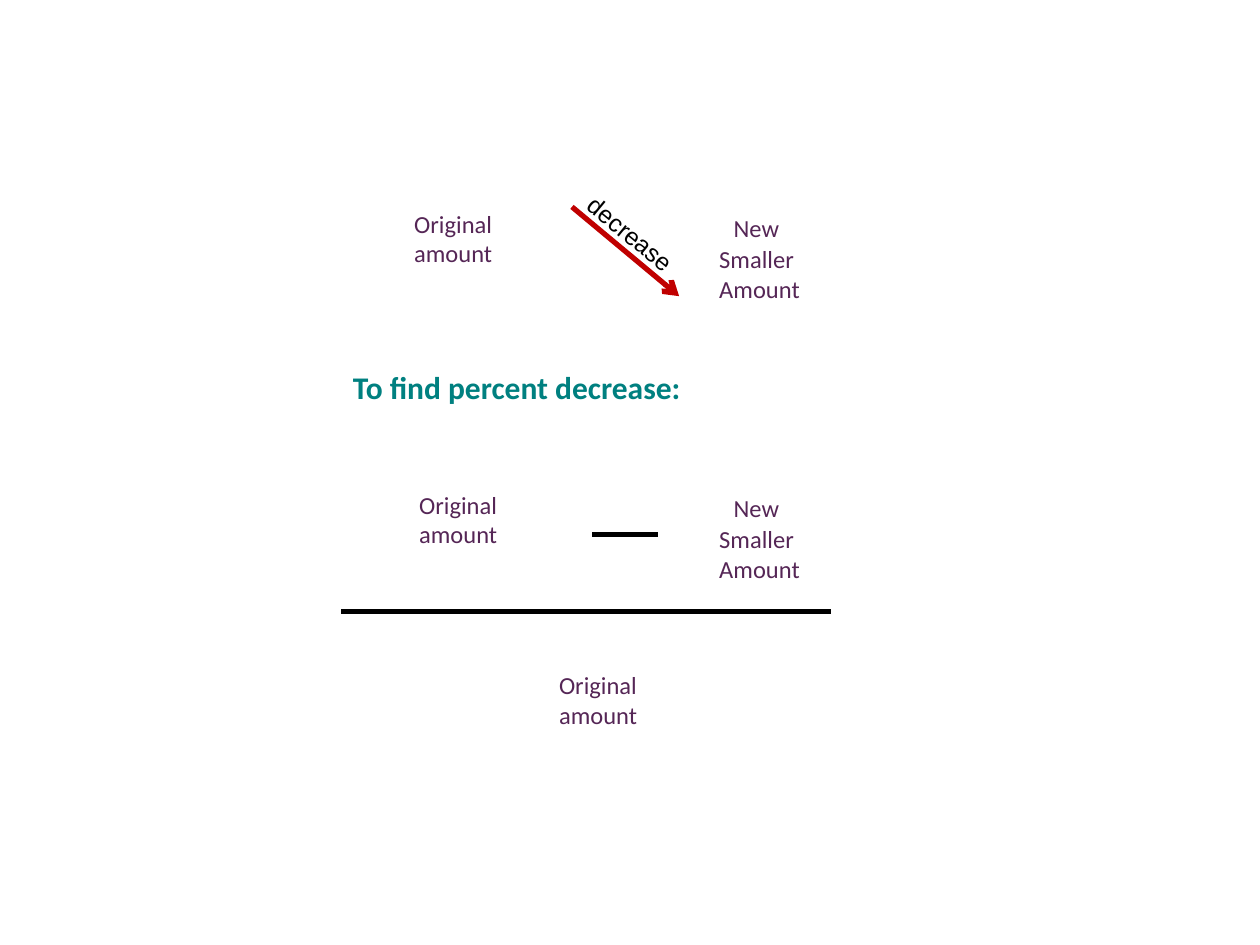
from lxml.etree import SubElement
from pptx import Presentation
from pptx.dml.color import RGBColor
from pptx.enum.shapes import MSO_CONNECTOR
from pptx.enum.text import MSO_ANCHOR, MSO_AUTO_SIZE, PP_ALIGN
from pptx.oxml.ns import qn
from pptx.util import Cm, Pt

THEME = {
    "amount": {"name": "Calibri", "size": Pt(14), "color": RGBColor(0x55, 0x26, 0x56)},
    "change": {"name": "Arial", "size": Pt(14), "color": RGBColor(0, 0, 0)},
    "heading": {"name": "Calibri", "size": Pt(18), "bold": True,
                "color": RGBColor(0, 0x80, 0x80)},
    "rule": RGBColor(0, 0, 0),
    "arrow": RGBColor(0xC0, 0, 0),
    "line_width": Pt(3),
}


def write(box, lines, style, **frame_format):
    frame = box.text_frame
    frame.text = "\n".join(lines)
    for attribute, value in frame_format.items():
        setattr(frame, attribute, value)
    for paragraph in frame.paragraphs:
        paragraph.alignment = PP_ALIGN.LEFT
        for attribute, value in THEME[style].items():
            if attribute == "color":
                paragraph.font.color.rgb = value
            else:
                setattr(paragraph.font, attribute, value)
    return frame


def draw_line(x1, y1, x2, y2, color):
    line = slide.shapes.add_connector(
        MSO_CONNECTOR.STRAIGHT, Cm(x1), Cm(y1), Cm(x2), Cm(y2))
    line.line.color.rgb = THEME[color]
    line.line.width = THEME["line_width"]
    SubElement(line._element.spPr, qn("a:effectLst"))
    return line


prs = Presentation()
prs.slide_width, prs.slide_height = Cm(25.4), Cm(19.05)
slide = prs.slides.add_slide(prs.slide_layouts[5])

# Heading
heading = slide.shapes.title
heading.left, heading.top, heading.width, heading.height = (
    Cm(6.86), Cm(7.29), Cm(10.36), Cm(1.02))
write(heading, ["To find percent decrease:"], "heading", word_wrap=True,
      auto_size=MSO_AUTO_SIZE.NONE, vertical_anchor=MSO_ANCHOR.TOP)

# Fraction bar and minus sign
draw_line(6.88, 12.32, 16.76, 12.32, "rule")
draw_line(11.94, 10.77, 13.26, 10.77, "rule")

# Original amount: starting value, minuend and denominator
for left, top in [(8.1, 4.09), (8.2, 9.75), (11.02, 13.39)]:
    original = slide.shapes.add_textbox(Cm(left), Cm(top), Cm(2.11), Cm(1.45))
    write(original, ["Original", "amount"], "amount",
          word_wrap=False, auto_size=MSO_AUTO_SIZE.SHAPE_TO_FIT_TEXT)

# New smaller amount: end value and subtrahend
for top in (4.04, 9.68):
    smaller = slide.shapes.add_textbox(Cm(14.25), Cm(top), Cm(2.16), Cm(2.24))
    frame = write(smaller, ["New", "Smaller", "Amount"], "amount", word_wrap=False,
                  auto_size=MSO_AUTO_SIZE.SHAPE_TO_FIT_TEXT, margin_top=Cm(0.26))
    first = frame.paragraphs[0]
    first.space_after = Pt(1)
    first._p.get_or_add_pPr().set("marL", str(Cm(0.29)))

# Decrease arrow and its label
decrease = slide.shapes.add_textbox(Cm(11.35), Cm(4.52), Cm(3.28), Cm(0.86))
write(decrease, ["decrease"], "change", word_wrap=True,
      auto_size=MSO_AUTO_SIZE.SHAPE_TO_FIT_TEXT)
decrease.rotation = 39.4
arrow = draw_line(11.53, 4.17, 13.69, 5.97, "arrow")
SubElement(arrow.line._get_or_add_ln(), qn("a:tailEnd"), type="arrow")

prs.save("out.pptx")
